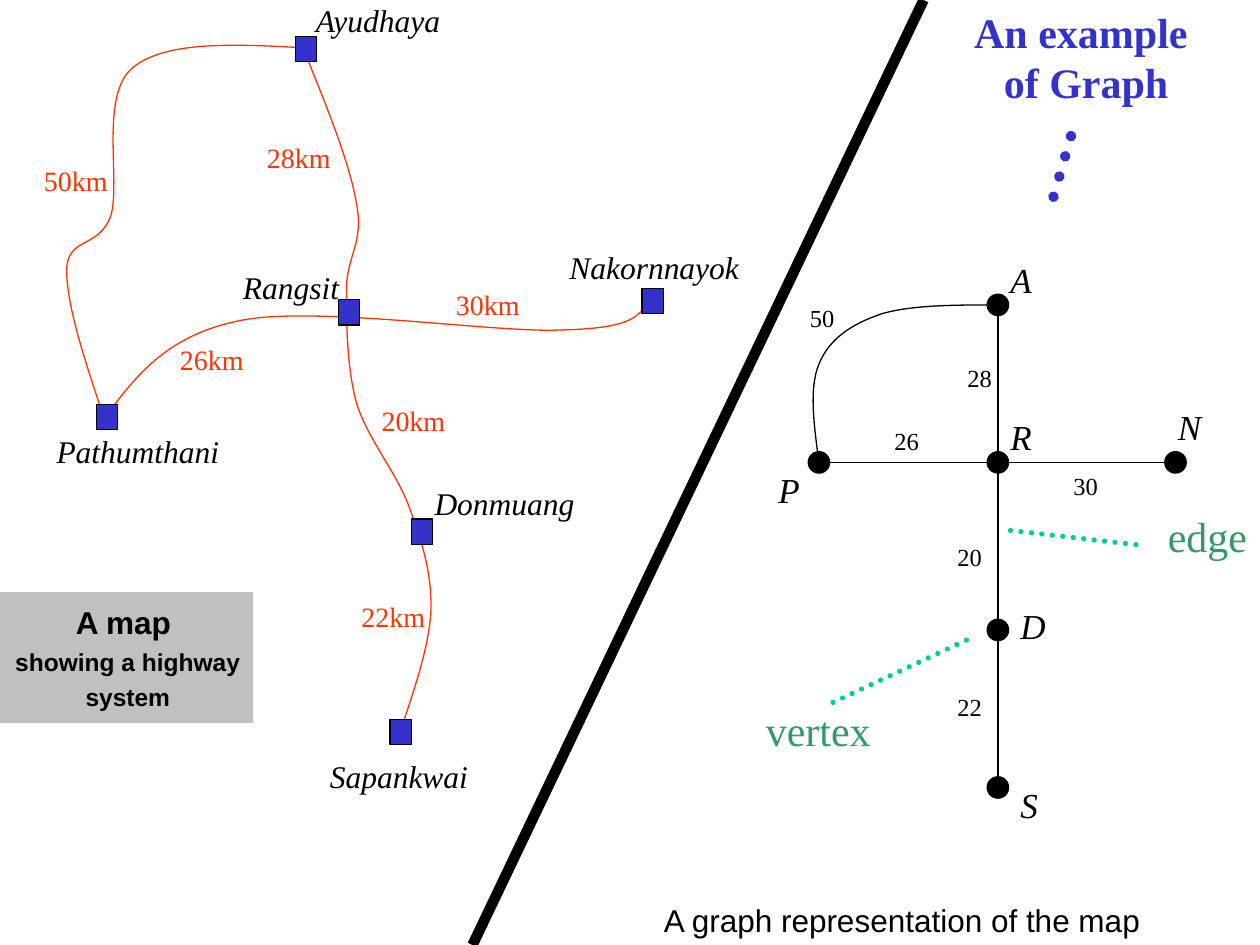
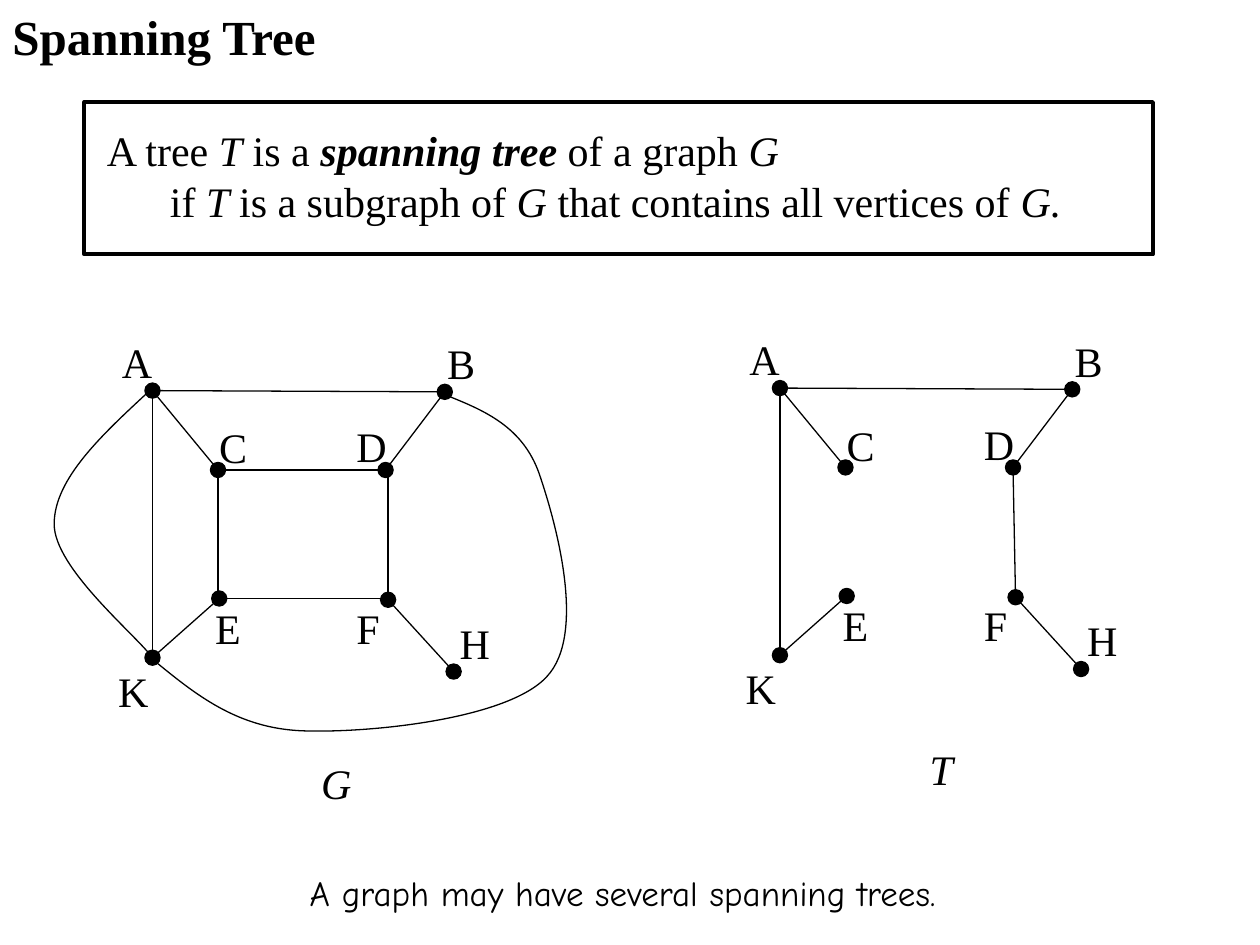
"""Build two slides on graphs: a highway map as a graph, and spanning trees."""
from dataclasses import dataclass, field
from typing import NamedTuple

from lxml import etree
from pptx import Presentation
from pptx.dml.color import RGBColor
from pptx.enum.dml import MSO_LINE
from pptx.enum.shapes import MSO_CONNECTOR, MSO_SHAPE
from pptx.enum.text import MSO_ANCHOR, MSO_AUTO_SIZE, PP_ALIGN
from pptx.oxml.ns import qn
from pptx.util import Inches, Pt

RECT, OVAL = MSO_SHAPE.RECTANGLE, MSO_SHAPE.OVAL
STRAIGHT = MSO_CONNECTOR.STRAIGHT
DOTTED = MSO_LINE.ROUND_DOT
LEFT, CENTER = PP_ALIGN.LEFT, PP_ALIGN.CENTER
TOP, MIDDLE = MSO_ANCHOR.TOP, MSO_ANCHOR.MIDDLE
FIT = MSO_AUTO_SIZE.SHAPE_TO_FIT_TEXT

Point = tuple[float, float]


class Style(NamedTuple):
    size: int
    color: str = "000000"
    name: str = "Times New Roman"
    bold: bool = False
    italic: bool = False


@dataclass(frozen=True)
class Theme:
    ink: str = "000000"
    road: str = "FF3300"
    town: str = "3333CC"
    panel: str = "C0C0C0"
    pointer: str = "00CC99"
    hairline: float = 0.75
    frame: float = 2.25
    styles: dict[str, Style] = field(default_factory=lambda: {
        "title": Style(28, bold=True),
        "heading": Style(24, "3333CC", bold=True),
        "body": Style(24),
        "body_italic": Style(24, italic=True),
        "body_term": Style(24, bold=True, italic=True),
        "callout": Style(24, "339966"),
        "vertex": Style(20, italic=True),
        "town": Style(18, italic=True),
        "distance": Style(16, "FF3300"),
        "weight": Style(14),
        "caption": Style(18, name="Arial"),
        "map_title": Style(18, name="Arial", bold=True),
        "map_note": Style(14, name="Arial", bold=True),
        "remark": Style(20, name="Comic Neue"),
    })


class Run(NamedTuple):
    text: str
    style: str


class Label(NamedTuple):
    text: str
    x: float
    y: float
    w: float


class Node(NamedTuple):
    x: float
    y: float
    label: Label


class Dots(NamedTuple):
    start: Point
    end: Point
    color: str
    width: float


THEME = Theme()
HEIGHTS = {14: 0.33, 16: 0.37, 18: 0.4, 20: 0.43, 24: 0.5, 28: 0.57}

TOWNS = [
    Node(2.43, 0.39, Label("Ayudhaya", 2.41, -0.04, 1.2)),
    Node(2.77, 2.48, Label("Rangsit", 1.83, 2.08, 0.97)),
    Node(5.18, 2.39, Label("Nakornnayok", 4.42, 1.92, 1.55)),
    Node(0.85, 3.31, Label("Pathumthani", 0.35, 3.38, 1.49)),
    Node(3.35, 4.22, Label("Donmuang", 3.35, 3.79, 1.31)),
    Node(3.18, 5.81, Label("Sapankwai", 2.52, 5.96, 1.3)),
]
ROADS: list[list[Point]] = [
    [(2.42, 0.42), (2.6, 0.86), (2.78, 1.31), (2.83, 1.62),
     (2.89, 1.93), (2.75, 2.03), (2.75, 2.3), (2.75, 2.56), (2.75, 2.91), (2.83, 3.2),
     (2.92, 3.49), (3.15, 3.75), (3.25, 4.03), (3.35, 4.3), (3.43, 4.55), (3.42, 4.86),
     (3.4, 5.16), (3.28, 5.49), (3.17, 5.83)],
    [(0.85, 3.29), (1.09, 2.97), (1.34, 2.65), (1.93, 2.54),
     (2.53, 2.43), (3.91, 2.64), (4.43, 2.62), (4.96, 2.61), (5.03, 2.53), (5.1, 2.46)],
    [(2.43, 0.38), (1.87, 0.35), (1.31, 0.32), (1.05, 0.54),
     (0.79, 0.76), (0.96, 1.44), (0.88, 1.71), (0.79, 1.97), (0.55, 1.88), (0.53, 2.12),
     (0.52, 2.38), (0.65, 2.79), (0.79, 3.21)],
]
DISTANCES = [Label(f"{km}km", x, y, 0.71) for km, x, y in (
    (20, 2.93, 3.15), (28, 2.02, 1.07), (50, 0.25, 1.25),
    (30, 3.52, 2.23), (22, 2.77, 4.71), (26, 1.33, 2.67))]
MAP_GRAPH = {
    "A": Node(7.92, 2.42, Label("A", 7.92, 2, 0.37)),
    "R": Node(7.92, 3.67, Label("R", 7.92, 3.25, 0.37)),
    "D": Node(7.92, 5, Label("D", 8, 4.75, 0.4)),
    "S": Node(7.92, 6.25, Label("S", 8, 6.17, 0.34)),
    "N": Node(9.33, 3.67, Label("N", 9.25, 3.17, 0.39)),
    "P": Node(6.5, 3.67, Label("P", 6.08, 3.67, 0.37)),
}
MAP_EDGES = "PR RN AR DR SD"
MAP_ARC = [(6.5, 3.67), (6.46, 3.37), (6.42, 3.08), (6.5, 2.89),
           (6.58, 2.69), (6.76, 2.57), (7, 2.49), (7.24, 2.42), (7.58, 2.42), (7.92, 2.42)]
WEIGHTS = [Label(str(n), x, y, 0.4) for n, x, y in (
    (50, 6.33, 2.36), (28, 7.58, 2.83), (30, 8.42, 3.69),
    (20, 7.5, 4.25), (22, 7.5, 5.44), (26, 7, 3.33))]
POINTERS = [
    Dots((7.67, 5.08), (6.6, 5.58), THEME.pointer, 3),
    Dots((8.02, 4.21), (9.08, 4.33), THEME.pointer, 3),
    Dots((8.5, 1.08), (8.33, 1.67), THEME.town, 6),
]
CALLOUTS = [Label("vertex", 5.98, 5.54, 1.03), Label("edge", 9.17, 4, 0.83)]

TREE_GRAPH = {
    "A": Node(1.21, 3.1, Label("A", 0.87, 2.62, 0.44)),
    "B": Node(3.53, 3.11, Label("B", 3.45, 2.63, 0.42)),
    "C": Node(1.73, 3.73, Label("C", 1.64, 3.3, 0.42)),
    "D": Node(3.06, 3.73, Label("D", 2.73, 3.29, 0.44)),
    "E": Node(1.74, 4.75, Label("E", 1.61, 4.73, 0.4)),
    "F": Node(3.08, 4.76, Label("F", 2.73, 4.73, 0.39)),
    "H": Node(3.6, 5.33, Label("H", 3.55, 4.85, 0.44)),
    "K": Node(1.21, 5.22, Label("K", 0.84, 5.23, 0.44)),
}
SHARED_EDGES = "AK AB EK AC BD FH"
OUTER_ARCS = [
    [(1.2, 3.09), (0.81, 3.45), (0.43, 3.8), (0.43, 4.16),
     (0.43, 4.51), (1.08, 5.04), (1.21, 5.22)],
    [(1.22, 5.24), (1.55, 5.51), (1.88, 5.78), (2.4, 5.8),
     (2.92, 5.82), (4.03, 5.71), (4.34, 5.37), (4.66, 5.03), (4.41, 4.14), (4.28, 3.76),
     (4.15, 3.39), (3.85, 3.26), (3.55, 3.14)],
]
DEFINITION = [
    [Run("A tree ", "body"), Run("T", "body_italic"), Run(" is a ", "body"),
     Run("spanning tree", "body_term"), Run(" of a graph ", "body"), Run("G", "body_italic")],
    [Run("\tif ", "body"), Run("T ", "body_italic"), Run("is a subgraph of ", "body"),
     Run("G", "body_italic"), Run(" that contains all vertices of ", "body"),
     Run("G.", "body_italic")],
]


def add_text(s, x: float, y: float, w: float, h: float, paragraphs: list[list[Run]],
             align=LEFT, spacing: float = 1.0, anchor=TOP) -> None:
    """Add a text box of styled runs that does not wrap."""
    sp = s.shapes.add_textbox(Inches(x), Inches(y), Inches(w), Inches(h))
    tf = sp.text_frame
    for key, value in {"word_wrap": False, "auto_size": FIT, "vertical_anchor": anchor}.items():
        setattr(tf, key, value)
    for i, runs in enumerate(paragraphs):
        p = tf.paragraphs[0] if i == 0 else tf.add_paragraph()
        p.alignment, p.line_spacing = align, spacing
        for run in runs:
            r = p.add_run()
            r.text = run.text
            fmt = THEME.styles[run.style]._asdict()
            r.font.color.rgb = RGBColor.from_string(fmt.pop("color"))
            fmt["size"] = Pt(fmt["size"])
            for key, value in fmt.items():
                setattr(r.font, key, value)


def add_label(s, label: Label, style: str, dx: float = 0, dy: float = 0, anchor=TOP) -> None:
    """Add a one-line label whose height follows from its type size."""
    add_text(s, label.x + dx, label.y + dy, label.w, HEIGHTS[THEME.styles[style].size],
             [[Run(label.text, style)]], anchor=anchor)


def set_line(sp, color: str, width: float) -> None:
    """Set the colour and the width of an outline."""
    sp.line.color.rgb = RGBColor.from_string(color)
    sp.line.width = Pt(width)


def add_shape(s, kind, x: float, y: float, w: float, h: float, fill: str = "",
              line: float = 0) -> None:
    """Add a preset shape, filled or outlined as asked."""
    sp = s.shapes.add_shape(kind, Inches(x), Inches(y), Inches(w), Inches(h))
    sp.shadow.inherit = False
    if fill:
        sp.fill.solid()
        sp.fill.fore_color.rgb = RGBColor.from_string(fill)
    else:
        sp.fill.background()
    if line:
        set_line(sp, THEME.ink, line)
    else:
        sp.line.fill.background()


def add_marker(s, kind, x: float, y: float, w: float, h: float, fill: str) -> None:
    """Add an outlined marker centred on a point."""
    add_shape(s, kind, x - w / 2, y - h / 2, w, h, fill, THEME.hairline)


def add_line(s, start: Point, end: Point, color: str = THEME.ink,
             width: float = THEME.hairline, dotted: bool = False) -> None:
    """Add a straight line, plain or with round dots."""
    sp = s.shapes.add_connector(STRAIGHT, *(Inches(v) for v in (*start, *end)))
    set_line(sp, color, width)
    if dotted:
        sp.line.dash_style = DOTTED
        sp.element.spPr.find(qn("a:ln")).set("cap", "rnd")
    etree.SubElement(sp.element.spPr, qn("a:effectLst"))


def add_curve(s, points: list[Point], color: str = THEME.ink) -> None:
    """Add an open curve: a start, then two controls and an end for each segment."""
    start, *rest = [(Inches(x), Inches(y)) for x, y in points]
    builder = s.shapes.build_freeform(*start)
    builder.add_line_segments(rest, close=False)
    sp = builder.convert_to_shape()
    sp.shadow.inherit = False
    sp.fill.background()
    set_line(sp, color, THEME.hairline)
    outline = next(sp.element.iter(qn("a:path")))
    corners = outline.findall(qn("a:lnTo"))
    for i in range(0, len(corners), 3):
        bezier = etree.SubElement(outline, qn("a:cubicBezTo"))
        for corner in corners[i:i + 3]:
            bezier.append(corner[0])
            outline.remove(corner)


def add_graph(s, nodes: dict[str, Node], edges: str, size: float, style: str,
              dx: float = 0, dy: float = 0) -> None:
    """Draw edges named by their two ends, then vertices and their labels."""
    for a, b in edges.split():
        add_line(s, (nodes[a].x + dx, nodes[a].y + dy), (nodes[b].x + dx, nodes[b].y + dy))
    for node in nodes.values():
        add_marker(s, OVAL, node.x + dx, node.y + dy, size, size, THEME.ink)
        add_label(s, node.label, style, dx, dy)


def build_map_slide(s) -> None:
    """Draw the highway map beside its graph."""
    add_shape(s, RECT, 0, 4.7, 2.01, 1.04, THEME.panel)
    for road in ROADS:
        add_curve(s, road, THEME.road)
    add_text(s, 0, 4.68, 2.03, 1.02,
             [[Run("A map ", "map_title")], [Run("showing a highway ", "map_note")],
              [Run("system", "map_note")]], CENTER, 1.2)
    for town in TOWNS:
        add_marker(s, RECT, town.x, town.y, 0.17, 0.2, THEME.town)
        add_label(s, town.label, "town")
    add_line(s, (3.75, 7.5), (7.33, 0), width=6)
    add_curve(s, MAP_ARC)
    add_graph(s, MAP_GRAPH, MAP_EDGES, 0.17, "vertex")
    for style, labels in {"distance": DISTANCES, "weight": WEIGHTS, "callout": CALLOUTS}.items():
        for label in labels:
            add_label(s, label, style)
    for dots in POINTERS:
        add_line(s, *dots, dotted=True)
    add_label(s, Label("A graph representation of the map", 5.17, 7.1, 3.99), "caption")
    add_text(s, 7.63, 0, 1.98, 0.9,
             [[Run("An example ", "heading")], [Run("of Graph", "heading")]], CENTER)


def build_tree_slide(s) -> None:
    """Define a spanning tree and draw a graph with one of its trees."""
    add_label(s, Label("Spanning Tree", 0, 0, 2.65), "title", anchor=MIDDLE)
    add_text(s, 0.75, 0.94, 8.28, 0.9, DEFINITION)
    add_shape(s, RECT, 0.67, 0.81, 8.48, 1.21, line=THEME.frame)
    add_shape(s, RECT, 1.73, 3.73, 1.35, 1.02, line=THEME.hairline)
    for arc in OUTER_ARCS:
        add_curve(s, arc)
    add_graph(s, TREE_GRAPH, SHARED_EDGES, 0.12, "body")
    add_graph(s, TREE_GRAPH, SHARED_EDGES + " DF", 0.12, "body", 4.98, -0.02)
    for label in (Label("G", 2.45, 5.96, 0.44), Label("T", 7.28, 5.85, 0.4)):
        add_label(s, label, "body_italic")
    add_label(s, Label("A graph may have several spanning trees.", 2.36, 6.87, 5.52), "remark")


def main() -> None:
    """Build and save the presentation."""
    prs = Presentation()
    prs.slide_width, prs.slide_height = Inches(10), Inches(7.5)
    for build in (build_map_slide, build_tree_slide):
        build(prs.slides.add_slide(prs.slide_layouts[6]))
    prs.save("out.pptx")


main()
